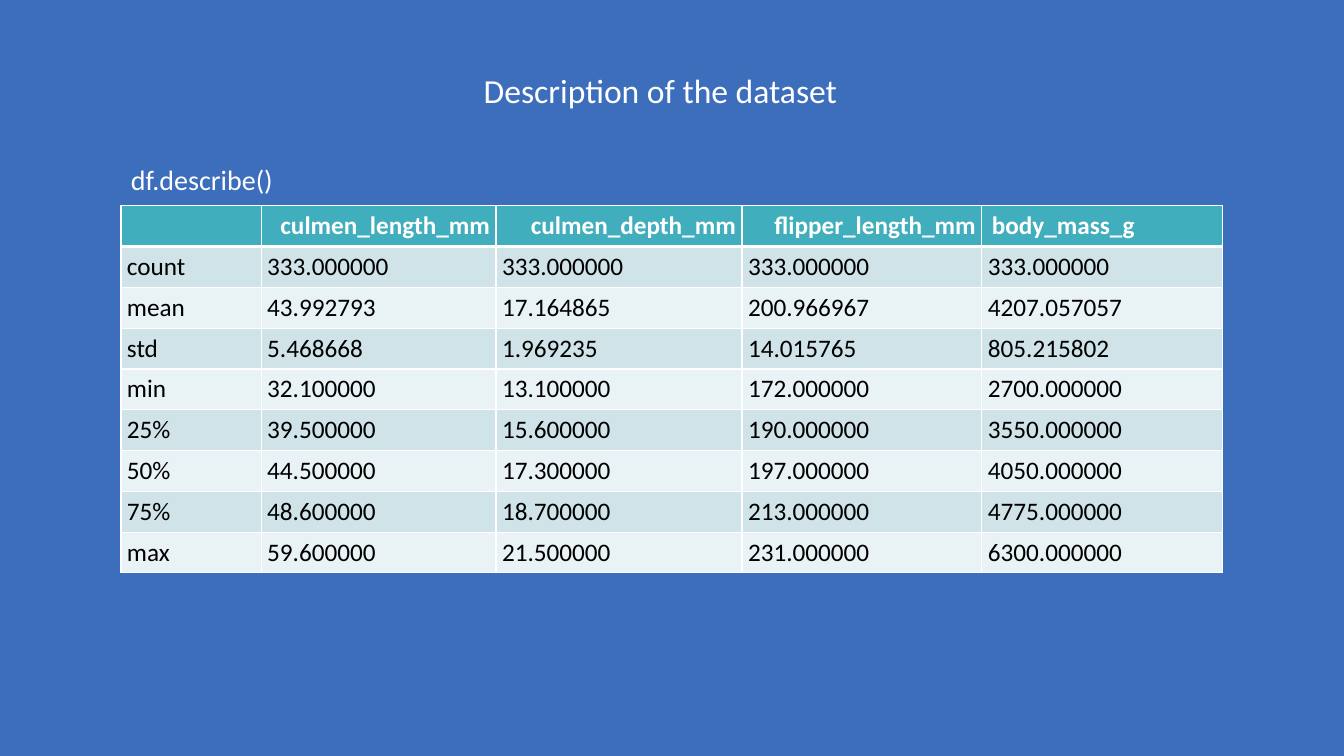
from lxml.etree import SubElement
from pptx import Presentation
from pptx.dml.color import RGBColor
from pptx.enum.text import MSO_ANCHOR as Anchor, MSO_AUTO_SIZE as AutoSize, PP_ALIGN as Align
from pptx.oxml.ns import qn
from pptx.util import Inches, Pt

WHITE, BLACK, BLUE = "FFFFFF", "000000", "3D6EBC"
TEAL, BAND_DARK, BAND_LIGHT = "41AEBD", "CFE3E8", "E9F2F4"

MEASURES = ["", "culmen_length_mm", "culmen_depth_mm", "flipper_length_mm", "body_mass_g"]
STATISTICS = [
    ["count", "333.000000", "333.000000", "333.000000", "333.000000"],
    ["mean", "43.992793", "17.164865", "200.966967", "4207.057057"],
    ["std", "5.468668", "1.969235", "14.015765", "805.215802"],
    ["min", "32.100000", "13.100000", "172.000000", "2700.000000"],
    ["25%", "39.500000", "15.600000", "190.000000", "3550.000000"],
    ["50%", "44.500000", "17.300000", "197.000000", "4050.000000"],
    ["75%", "48.600000", "18.700000", "213.000000", "4775.000000"],
    ["max", "59.600000", "21.500000", "231.000000", "6300.000000"],
]


def rgb(code):
    return RGBColor.from_string(code)


class Deck:
    """Holds the style and the current slide; lengths are percentages of its size."""

    font = "Calibri"

    def __init__(self, width, height):
        self.file = Presentation()
        self.file.slide_width, self.file.slide_height = Inches(width), Inches(height)
        self.slide = self.file.slides.add_slide(self.file.slide_layouts[6])

    def x(self, share):
        return round(self.file.slide_width * share / 100)

    def y(self, share):
        return round(self.file.slide_height * share / 100)

    def background(self, color):
        fill = self.slide.background.fill
        fill.solid()
        fill.fore_color.rgb = rgb(color)

    def run(self, paragraph, words, size, color, bold=False):
        run = paragraph.add_run()
        run.text = words
        run.font.name, run.font.size, run.font.bold = self.font, Pt(size), bold
        run.font.color.rgb = rgb(color)

    def text(self, words, left, top, width, height, size):
        box = self.slide.shapes.add_textbox(self.x(left), self.y(top), self.x(width), self.y(height))
        frame = box.text_frame
        frame.word_wrap = True
        frame.auto_size = AutoSize.SHAPE_TO_FIT_TEXT
        self.run(frame.paragraphs[0], words, size, WHITE)

    def borders(self, cell, top, bottom):
        properties = cell._tc.get_or_add_tcPr()
        for side, points in (("L", 1), ("R", 1), ("T", top), ("B", bottom)):
            line = SubElement(properties, qn(f"a:ln{side}"), w=str(Pt(points)))
            SubElement(SubElement(line, qn("a:solidFill")), qn("a:srgbClr"), val=WHITE)

    def cell(self, cell, words, fill, color, top=1, bottom=1, bold=False, align=None, compact=True):
        self.borders(cell, top, bottom)
        cell.fill.solid()
        cell.fill.fore_color.rgb = rgb(fill)
        if compact:
            cell.vertical_anchor = Anchor.MIDDLE
            cell.margin_left = cell.margin_right = Inches(0.06)
            cell.margin_top = cell.margin_bottom = Inches(0.03)
        paragraph = cell.text_frame.paragraphs[0]
        paragraph.alignment = align
        if words:
            self.run(paragraph, words, 18, color, bold)

    def table(self, header, body, left, top, widths, height):
        frame = self.slide.shapes.add_table(
            len(body) + 1, len(header), self.x(left), self.y(top), self.x(sum(widths)), self.y(height))
        table = frame.table
        for column, width in zip(table.columns, widths):
            column.width = self.x(width)
        last = len(header) - 1
        for c, measure in enumerate(header):
            inner = 0 < c < last
            self.cell(table.cell(0, c), measure, TEAL, WHITE, bottom=3, bold=True,
                      align=Align.RIGHT if inner else None, compact=inner)
        for r, values in enumerate(body, 1):
            band = BAND_DARK if r % 2 else BAND_LIGHT
            for c, value in enumerate(values):
                self.cell(table.cell(r, c), value, band, BLACK, top=3 if r == 1 else 1)


def main():
    deck = Deck(13.33, 7.5)
    deck.background(BLUE)
    deck.table(MEASURES, STATISTICS, 9, 27.2, [10.43, 17.48, 18.3, 17.85, 17.93], 48.6)
    deck.text("df.describe()", 9, 20.8, 12.75, 5.87, size=20)
    deck.text("Description of the dataset", 35.25, 8.53, 29.48, 6.67, size=24)
    deck.file.save("out.pptx")


if __name__ == "__main__":
    main()
